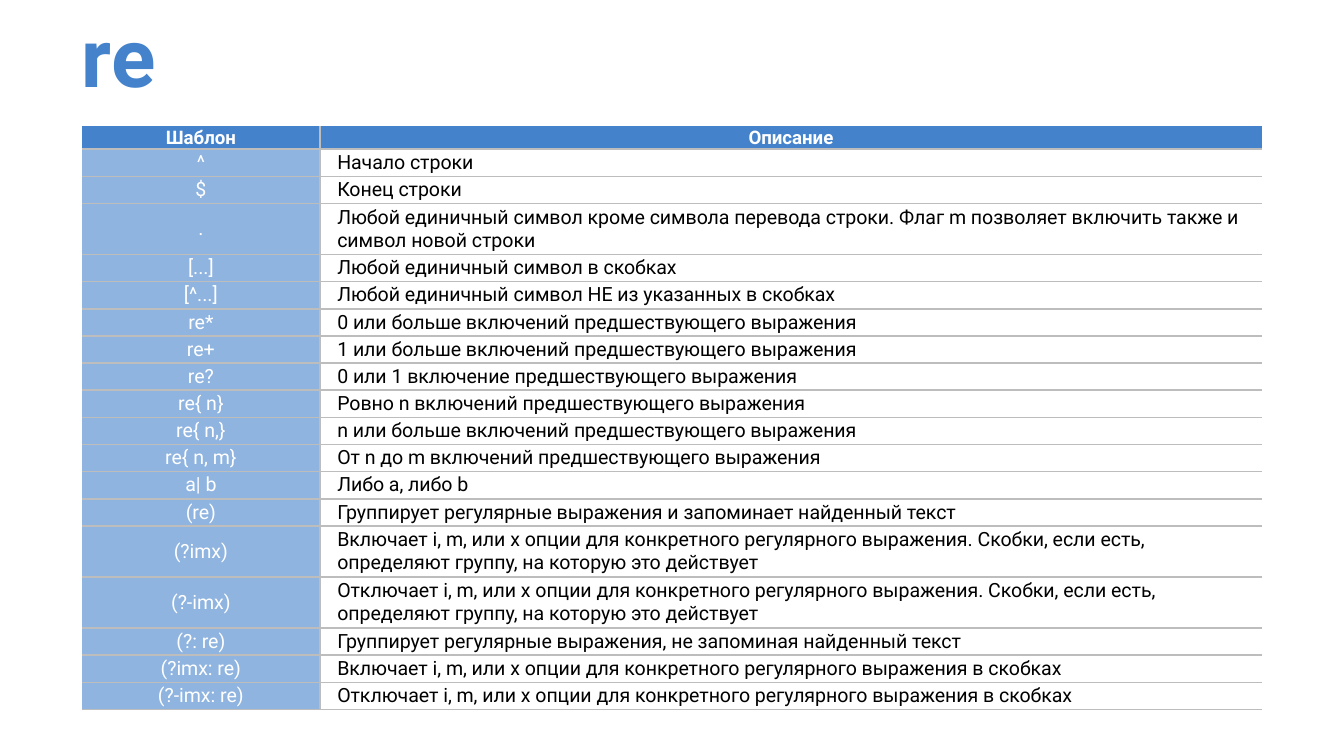
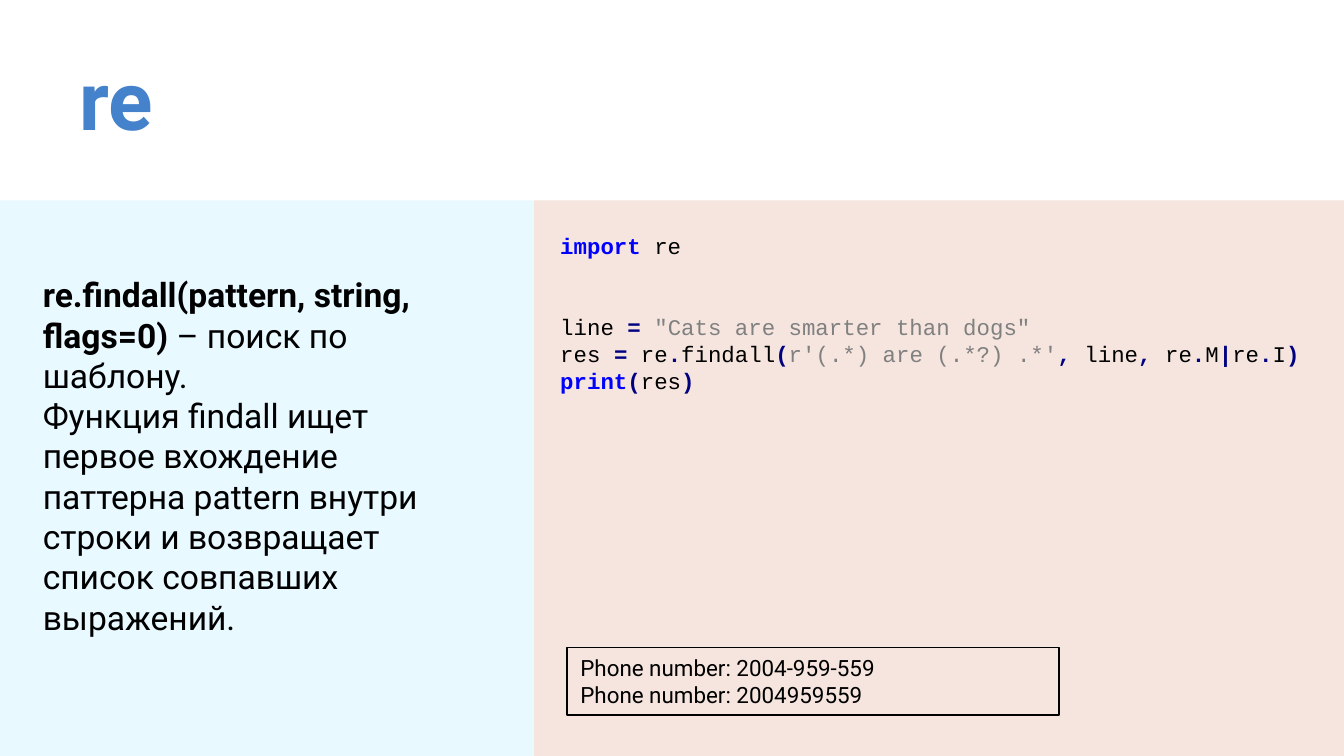
from lxml import etree
from pptx import Presentation
from pptx.dml.color import RGBColor
from pptx.enum.shapes import MSO_SHAPE
from pptx.enum.text import MSO_ANCHOR, MSO_AUTO_SIZE, PP_ALIGN
from pptx.oxml.ns import qn
from pptx.util import Inches, Pt

RECT = MSO_SHAPE.RECTANGLE
LEFT, CENTER = PP_ALIGN.LEFT, PP_ALIGN.CENTER
TOP, MIDDLE = MSO_ANCHOR.TOP, MSO_ANCHOR.MIDDLE
NO_AUTOFIT = MSO_AUTO_SIZE.NONE
TITLE_ONLY = 5

SLIDE_W = 10
SLIDE_H = SLIDE_W * 9 / 16
BLUE, LIGHT_BLUE, GRAY_LINE = "4482CC", "8FB4E0", "BDBDBD"
PALE_BLUE, PALE_ROSE = "E8F9FF", "F5E5DE"
BLACK, WHITE = "000000", "FFFFFF"
FONT, CODE_FONT = "Roboto", "Courier New"

# Code styles: colour and bold
PLAIN, KEYWORD = (BLACK, False), ("0000FF", True)
OPERATOR, STRING = ("000080", True), ("808080", False)

HEADER = ("Шаблон", "Описание")
PATTERNS = [
    ("^", "Начало строки"),
    ("$", "Конец строки"),
    (".", "Любой единичный символ кроме символа перевода строки. "
          "Флаг m позволяет включить также и символ новой строки"),
    ("[...]", "Любой единичный символ в скобках"),
    ("[^...]", "Любой единичный символ НЕ из указанных в скобках"),
    ("re*", "0 или больше включений предшествующего выражения"),
    ("re+", "1 или больше включений предшествующего выражения"),
    ("re?", "0 или 1 включение предшествующего выражения"),
    ("re{ n}", "Ровно n включений предшествующего выражения"),
    ("re{ n,}", "n или больше включений предшествующего выражения"),
    ("re{ n, m}", "От n до m включений предшествующего выражения"),
    ("a| b", "Либо a, либо b"),
    ("(re)", "Группирует регулярные выражения и запоминает найденный текст"),
    ("(?imx)", "Включает i, m, или x опции для конкретного регулярного выражения. "
               "Скобки, если есть, определяют группу, на которую это действует"),
    ("(?-imx)", "Отключает i, m, или x опции для конкретного регулярного выражения. "
                "Скобки, если есть, определяют группу, на которую это действует"),
    ("(?: re)", "Группирует регулярные выражения, не запоминая найденный текст"),
    ("(?imx: re)", "Включает i, m, или x опции для конкретного регулярного "
                   "выражения в скобках"),
    ("(?-imx: re)", "Отключает i, m, или x опции для конкретного регулярного "
                    "выражения в скобках"),
]
WRAP_AT = 90  # characters that fit on one line of a description
HEADER_H, TALL_H = 0.17, 0.38

FINDALL_TEXT = [
    [("re.findall(pattern, string, flags=0) ", True), ("– поиск по шаблону.", False)],
    [("Функция findall ищет первое вхождение паттерна pattern внутри строки "
      "и возвращает список совпавших выражений.", False)],
]
OUTPUT = ["Phone number: 2004-959-559", "Phone number: 2004959559"]

# Each line: blank lines above it, then its runs
CODE = [
    (0, [("import", KEYWORD), (" re", PLAIN)]),
    (2, [("line ", PLAIN), ("= ", OPERATOR),
         ('"Cats are smarter than dogs"', STRING)]),
    (0, [("res ", PLAIN), ("=", OPERATOR), (" re", PLAIN), (".", OPERATOR),
         ("findall", PLAIN), ("(", OPERATOR), ("r'(.*) are (.*?) .*'", STRING),
         (",", OPERATOR), (" line", PLAIN), (",", OPERATOR), (" re", PLAIN),
         (".", OPERATOR), ("M", PLAIN), ("|", OPERATOR), ("re", PLAIN),
         (".", OPERATOR), ("I", PLAIN), (")", OPERATOR)]),
    (0, [("print", KEYWORD), ("(", OPERATOR), ("res", PLAIN), (")", OPERATOR)]),
]
CODE_LINE = 14.4


def rgb(color):
    return RGBColor.from_string(color)


def add_run(p, text, size, color=BLACK, bold=False, font=FONT):
    r = p.add_run()
    r.text = text
    r.font.name = font
    r.font.size = Pt(size)
    r.font.bold = bold
    r.font.color.rgb = rgb(color)


def add_paragraph(tf, first):
    p = tf.paragraphs[0] if first else tf.add_paragraph()
    p.alignment = LEFT
    return p


def add_title(slide, text, x, y, w, h, spacing=1.0):
    sp = slide.shapes.title
    sp.left, sp.top, sp.width, sp.height = map(Inches, (x, y, w, h))
    tf = sp.text_frame
    tf.auto_size = NO_AUTOFIT
    tf.word_wrap = True
    tf.vertical_anchor = TOP
    tf.margin_left = tf.margin_right = tf.margin_top = tf.margin_bottom = Inches(0.1)
    p = add_paragraph(tf, True)
    p.line_spacing = spacing
    add_run(p, text, 44, BLUE, True)


def add_text_box(slide, x, y, w, h):
    sp = slide.shapes.add_textbox(*map(Inches, (x, y, w, h)))
    sp.text_frame.word_wrap = True
    return sp.text_frame


def add_rect(slide, x, y, w, h, fill=None, line=None):
    sp = slide.shapes.add_shape(RECT, *map(Inches, (x, y, w, h)))
    sp.shadow.inherit = False
    if fill:
        sp.fill.solid()
        sp.fill.fore_color.rgb = rgb(fill)
    else:
        sp.fill.background()
    if line:
        sp.line.color.rgb = rgb(line)
        sp.line.width = Pt(0.75)
    else:
        sp.line.fill.background()
    return sp


def set_borders(cell, visible):
    """Draw 1 pt lines on the visible sides and none on the others."""
    tc_pr = cell._tc.get_or_add_tcPr()
    for i, side in enumerate(("lnL", "lnR", "lnT", "lnB")):
        ln = etree.Element(qn(f"a:{side}"), w=str(Pt(1)))
        if side in visible:
            fill = etree.SubElement(ln, qn("a:solidFill"))
            etree.SubElement(fill, qn("a:srgbClr"), val=GRAY_LINE)
        else:
            etree.SubElement(ln, qn("a:noFill"))
        tc_pr.insert(i, ln)


def fill_cell(cell, text, col, is_header):
    cell.fill.solid()
    fill = BLUE if is_header else (LIGHT_BLUE, WHITE)[col]
    cell.fill.fore_color.rgb = rgb(fill)
    cell.vertical_anchor = MIDDLE
    cell.margin_left = cell.margin_right = Inches(0.06 if is_header else 0.03)
    cell.margin_top = cell.margin_bottom = Inches(0 if is_header else 0.01)
    p = cell.text_frame.paragraphs[0]
    is_description = col == 1 and not is_header
    if is_description:
        p.alignment = LEFT
        p._p.get_or_add_pPr().set("marL", str(Inches(0.1)))
    else:
        p.alignment = CENTER
    add_run(p, text, 10 if is_header else 10.5,
            BLACK if is_description else WHITE, is_header)
    sides = {"lnB", "lnL" if col else "lnR"}
    set_borders(cell, sides if is_header else sides | {"lnT"})


def add_pattern_table(slide, x, y, w, h, first_col=1.77):
    rows = [HEADER] + PATTERNS
    tall = [len(text) > WRAP_AT for _, text in PATTERNS]
    single_h = (h - HEADER_H - TALL_H * sum(tall)) / tall.count(False)
    heights = [HEADER_H] + [TALL_H if t else single_h for t in tall]
    table = slide.shapes.add_table(len(rows), 2, *map(Inches, (x, y, w, h))).table
    table.first_row = table.horz_banding = False
    table.columns[0].width = Inches(first_col)
    table.columns[1].width = Inches(w - first_col)
    for i, (row, height) in enumerate(zip(rows, heights)):
        table.rows[i].height = Inches(height)
        for col, text in enumerate(row):
            fill_cell(table.cell(i, col), text, col, i == 0)


def add_description(slide, x, y, w, h):
    add_rect(slide, x, y, w, h, PALE_BLUE)
    tf = add_text_box(slide, x + 0.22, y + 0.5, w - 0.49, 2.52)
    for i, runs in enumerate(FINDALL_TEXT):
        p = add_paragraph(tf, i == 0)
        for text, bold in runs:
            add_run(p, text, 18, bold=bold)


def add_code_panel(slide, x, y, w, h):
    add_rect(slide, x, y, w, h, PALE_ROSE)
    tf = add_text_box(slide, x + 0.1, y + 0.19, w - 0.24, 1.51)
    for i, (gap, runs) in enumerate(CODE):
        p = add_paragraph(tf, i == 0)
        p.line_spacing = Pt(CODE_LINE)
        if gap:
            p.space_before = Pt(gap * CODE_LINE)
        for text, (color, bold) in runs:
            add_run(p, text, 12, color, bold, CODE_FONT)
    add_output(slide, x + 0.25, y + 3.33, 3.66, 0.5)


def add_output(slide, x, y, w, h):
    tf = add_rect(slide, x, y, w, h, line=BLACK).text_frame
    tf.word_wrap = True
    tf.vertical_anchor = TOP
    for i, text in enumerate(OUTPUT):
        add_run(add_paragraph(tf, i == 0), text, 12)


def add_table_slide(prs):
    slide = prs.slides.add_slide(prs.slide_layouts[TITLE_ONLY])
    add_pattern_table(slide, 0.61, 0.94, 8.78, 4.34)
    add_title(slide, "re", 0.51, 0.08, 9.49, 1.16, spacing=0.8)


def add_findall_slide(prs):
    slide = prs.slides.add_slide(prs.slide_layouts[TITLE_ONLY])
    top, split = 1.49, 3.97
    add_code_panel(slide, split, top, SLIDE_W - split, SLIDE_H - top)
    add_description(slide, 0, top, split, SLIDE_H - top)
    add_title(slide, "re", 0.49, 0.26, 9.37, 0.76)


def main():
    prs = Presentation()
    prs.slide_width, prs.slide_height = Inches(SLIDE_W), Inches(SLIDE_H)
    add_table_slide(prs)
    add_findall_slide(prs)
    prs.save("out.pptx")


if __name__ == "__main__":
    main()
